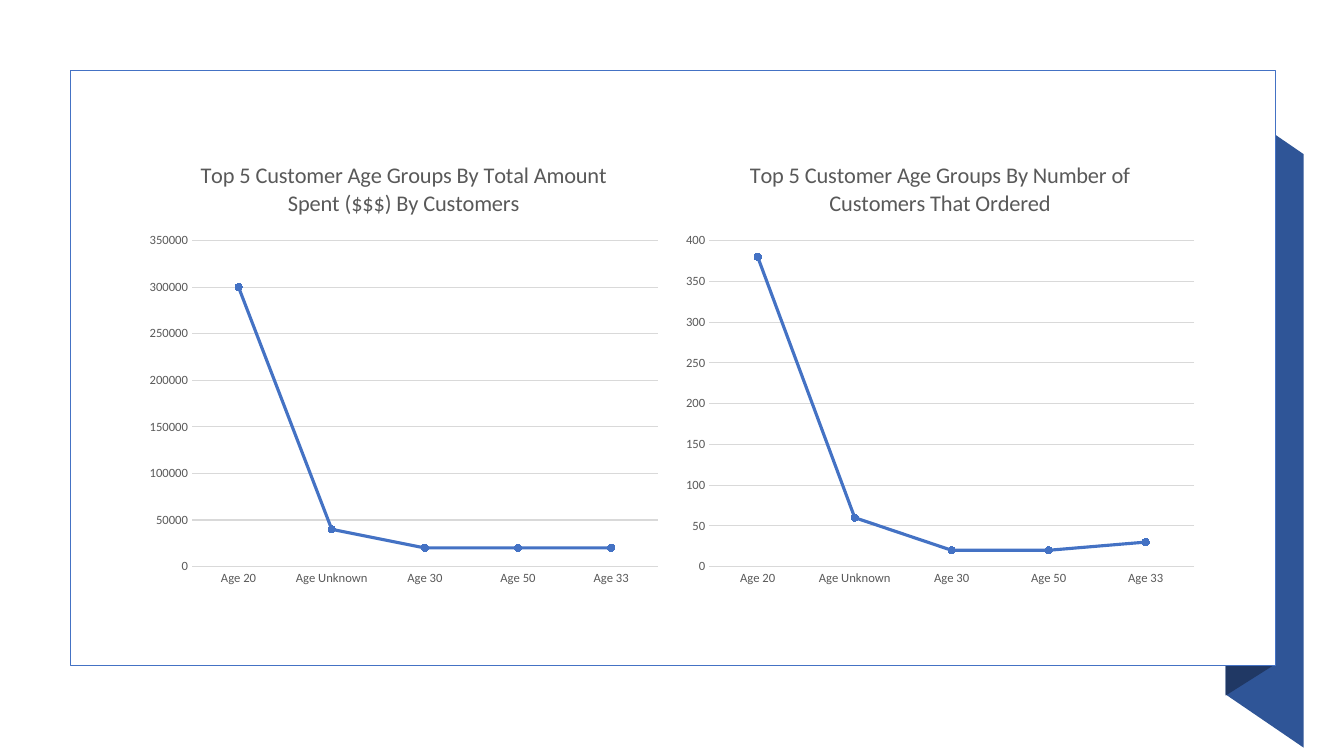
import pptx
import pptx.chart.data
import pptx.dml.color
import pptx.enum.chart
import pptx.enum.shapes
import pptx.util
from dataclasses import dataclass


@dataclass(frozen=True)
class Theme:
    font: str = "Calibri"
    paper: str = "FFFFFF"
    accent: str = "4472C4"
    ribbon: str = "2F5597"
    ribbon_fold: str = "203864"
    text: str = "595959"
    grid: str = "D9D9D9"
    title_size: float = 16
    axis_size: float = 9
    frame_width: float = 1
    grid_width: float = 0.75
    series_width: float = 2.25
    marker_size: int = 5


class SlideBuilder:
    def __init__(self, deck, theme):
        self.theme = theme
        self.width = deck.slide_width
        self.height = deck.slide_height
        self.slide = deck.slides.add_slide(deck.slide_layouts[6])

    def x(self, percent):
        return round(self.width * percent / 100)

    def y(self, percent):
        return round(self.height * percent / 100)

    def box(self, left, top, width, height):
        return self.x(left), self.y(top), self.x(width), self.y(height)

    def color(self, value):
        return pptx.dml.color.RGBColor.from_string(value)

    def fill(self, target, value):
        target.fill.solid()
        target.fill.fore_color.rgb = self.color(value)

    def stroke(self, line, value, width):
        self.fill(line, value)
        line.width = pptx.util.Pt(width)

    def style_font(self, font, size):
        font.name = self.theme.font
        font.size = pptx.util.Pt(size)
        font.bold = False
        font.color.rgb = self.color(self.theme.text)

    def polygon(self, corners, color):
        points = [(self.x(across), self.y(down)) for across, down in corners]
        outline = self.slide.shapes.build_freeform(*points[0])
        outline.add_line_segments(points[1:], close=True)
        panel = outline.convert_to_shape()
        panel.shadow.inherit = False
        self.fill(panel, color)
        panel.line.fill.background()

    def frame(self, left, top, width, height):
        card = self.slide.shapes.add_shape(
            pptx.enum.shapes.MSO_SHAPE.RECTANGLE, *self.box(left, top, width, height)
        )
        card.shadow.inherit = False
        self.fill(card, self.theme.paper)
        self.stroke(card.line, self.theme.accent, self.theme.frame_width)

    def line_chart(self, title, categories, values, left, top, width, height):
        data = pptx.chart.data.CategoryChartData()
        data.categories = categories
        data.add_series("Series 1", values)
        chart = self.slide.shapes.add_chart(
            pptx.enum.chart.XL_CHART_TYPE.LINE_MARKERS,
            *self.box(left, top, width, height),
            data,
        ).chart
        self.style_font(chart.font, self.theme.axis_size)
        chart.has_legend = False
        self.chart_title(chart, title)
        self.chart_axes(chart)
        self.chart_series(chart.plots[0])

    def chart_title(self, chart, title):
        chart.has_title = True
        chart.chart_title.include_in_layout = False
        heading = chart.chart_title.text_frame
        heading.text = title
        self.style_font(heading.paragraphs[0].runs[0].font, self.theme.title_size)

    def chart_axes(self, chart):
        for axis in (chart.category_axis, chart.value_axis):
            axis.major_tick_mark = pptx.enum.chart.XL_TICK_MARK.NONE
            axis.minor_tick_mark = pptx.enum.chart.XL_TICK_MARK.NONE
            self.style_font(axis.tick_labels.font, self.theme.axis_size)
        chart.value_axis.has_major_gridlines = True
        gridlines = chart.value_axis.major_gridlines.format.line
        for line in (chart.category_axis.format.line, gridlines):
            self.stroke(line, self.theme.grid, self.theme.grid_width)
        chart.value_axis.format.line.fill.background()

    def chart_series(self, plot):
        plot.vary_by_categories = False
        series = plot.series[0]
        series.smooth = False
        self.stroke(series.format.line, self.theme.accent, self.theme.series_width)
        series.marker.style = pptx.enum.chart.XL_MARKER_STYLE.CIRCLE
        series.marker.size = self.theme.marker_size
        self.fill(series.marker.format, self.theme.accent)
        self.stroke(
            series.marker.format.line, self.theme.accent, self.theme.grid_width
        )


def main():
    theme = Theme()
    deck = pptx.Presentation()
    deck.slide_width = pptx.util.Inches(13.33)
    deck.slide_height = pptx.util.Inches(7.5)
    page = SlideBuilder(deck, theme)

    fold_left, fold_right, ribbon_right = 91.2, 94.65, 97
    page.polygon(
        [(ribbon_right, 98.9), (fold_left, 91.87),
         (fold_left, 13.33), (ribbon_right, 20.4)],
        theme.ribbon,
    )
    page.polygon(
        [(fold_right, 88.13), (fold_left, 92),
         (fold_left, 13.33), (fold_right, 9.33)],
        theme.ribbon_fold,
    )
    page.frame(5.25, 9.36, 89.68, 78.64)

    age_groups = ["Age 20", "Age Unknown", "Age 30", "Age 50", "Age 33"]
    rankings = [
        ("Top 5 Customer Age Groups By Total Amount Spent ($$$) By Customers",
         [300000, 40000, 20000, 20000, 20000]),
        ("Top 5 Customer Age Groups By Number of Customers That Ordered",
         [380, 60, 20, 20, 30]),
    ]
    first_left, chart_step = 10.35, 39.91
    for column, (title, values) in enumerate(rankings):
        page.line_chart(title, age_groups, values,
                        first_left + column * chart_step, 18.75, 39.38, 59.87)

    deck.save("out.pptx")


if __name__ == "__main__":
    main()
